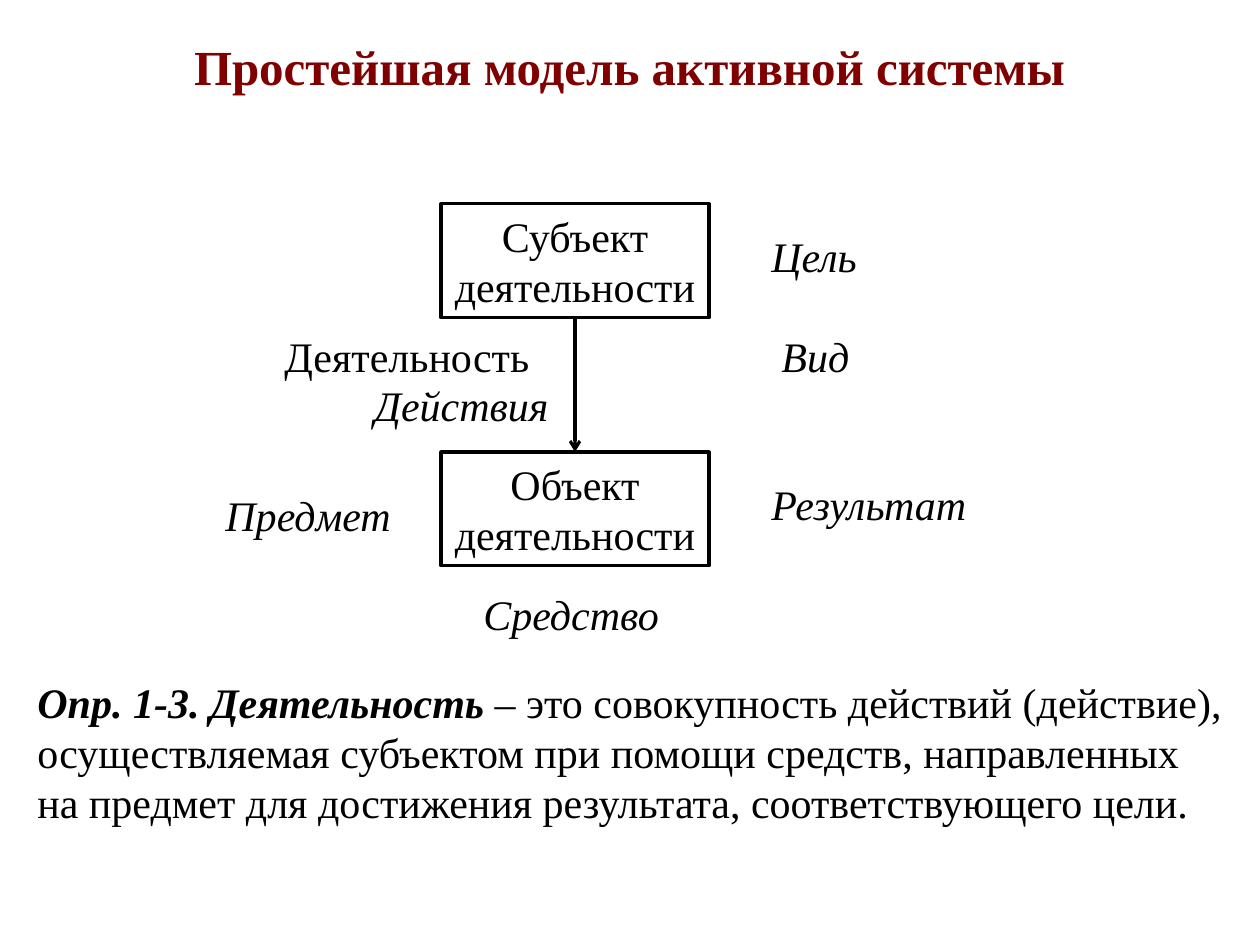
from dataclasses import dataclass

from lxml import etree
from pptx import Presentation
from pptx.dml.color import RGBColor
from pptx.enum.shapes import MSO_CONNECTOR, MSO_SHAPE
from pptx.enum.text import MSO_ANCHOR, PP_ALIGN
from pptx.oxml.ns import qn
from pptx.shapes.autoshape import Shape
from pptx.shapes.shapetree import SlideShapes
from pptx.util import Emu, Pt

RECTANGLE = MSO_SHAPE.RECTANGLE
STRAIGHT = MSO_CONNECTOR.STRAIGHT
LEFT, CENTER = PP_ALIGN.LEFT, PP_ALIGN.CENTER
TOP, MIDDLE = MSO_ANCHOR.TOP, MSO_ANCHOR.MIDDLE

EMU_PER_PX = 914400 / 126
FONT = "Times New Roman"
COLORS = {"title": "800000", "ink": "000000"}
BODY_SIZE, TITLE_SIZE = 24, 28
LINE_WIDTH = 1.75
BOX_WIDTH, BOX_HEIGHT = 268, 114
LABEL_HEIGHT = 63
BOTTOM_SITE, TOP_SITE = 2, 0


@dataclass(frozen=True)
class Phrase:
    text: str
    bold: bool = False
    italic: bool = False
    size: int = BODY_SIZE
    color: str = "ink"


@dataclass(frozen=True)
class Passage:
    left: int
    top: int
    width: int
    phrases: tuple[Phrase, ...]
    height: int = LABEL_HEIGHT
    align: PP_ALIGN = LEFT
    anchor: MSO_ANCHOR = TOP


TITLE = Passage(
    94, 26, 1071,
    (Phrase("Простейшая модель активной системы", bold=True, size=TITLE_SIZE, color="title"),),
    79, CENTER, MIDDLE,
)
SUBJECT = Passage(441, 204, BOX_WIDTH, (Phrase("Субъект деятельности"),), BOX_HEIGHT, CENTER)
OBJECT = Passage(441, 452, BOX_WIDTH, (Phrase("Объект деятельности"),), BOX_HEIGHT, CENTER)
LABELS = (
    Passage(272, 324, 297, (Phrase("Деятельность"),)),
    Passage(759, 472, 297, (Phrase("Результат", italic=True),)),
    Passage(759, 224, 208, (Phrase("Цель", italic=True),)),
    Passage(769, 324, 208, (Phrase("Вид", italic=True),)),
    Passage(471, 582, 208, (Phrase("Средство", italic=True),)),
    Passage(213, 483, 208, (Phrase("Предмет", italic=True),)),
    Passage(362, 373, 208, (Phrase("Действия", italic=True),)),
)
DEFINITION = Passage(
    25, 670, 1211,
    (
        Phrase("Опр. 1-3. Деятельность", bold=True, italic=True),
        Phrase(
            " – это совокупность действий (действие), осуществляемая субъектом "
            "при помощи средств, направленных на предмет для достижения результата, "
            "соответствующего цели."
        ),
    ),
    214,
)


def px(length: int) -> Emu:
    return Emu(round(length * EMU_PER_PX))


def place(passage: Passage) -> tuple[Emu, Emu, Emu, Emu]:
    return px(passage.left), px(passage.top), px(passage.width), px(passage.height)


def write(holder: Shape, passage: Passage) -> None:
    frame = holder.text_frame
    frame.word_wrap = True
    frame.vertical_anchor = passage.anchor
    paragraph = frame.paragraphs[0]
    paragraph.alignment = passage.align
    for phrase in passage.phrases:
        run = paragraph.add_run()
        run.text = phrase.text
        run.font.name = FONT
        run.font.size = Pt(phrase.size)
        run.font.bold = phrase.bold
        run.font.italic = phrase.italic
        run.font.color.rgb = RGBColor.from_string(COLORS[phrase.color])


def draw_passage(shapes: SlideShapes, passage: Passage) -> None:
    write(shapes.add_textbox(*place(passage)), passage)


def draw_box(shapes: SlideShapes, passage: Passage) -> Shape:
    box = shapes.add_shape(RECTANGLE, *place(passage))
    box.shadow.inherit = False
    box.fill.background()
    box.line.color.rgb = RGBColor.from_string(COLORS["ink"])
    box.line.width = Pt(LINE_WIDTH)
    write(box, passage)
    return box


def draw_arrow(shapes: SlideShapes, source: Shape, target: Shape) -> None:
    arrow = shapes.add_connector(STRAIGHT, 0, 0, 0, 0)
    arrow.begin_connect(source, BOTTOM_SITE)
    arrow.end_connect(target, TOP_SITE)
    arrow.line.color.rgb = RGBColor.from_string(COLORS["ink"])
    arrow.line.width = Pt(LINE_WIDTH)
    properties = arrow.element.spPr
    etree.SubElement(properties.find(qn("a:ln")), qn("a:tailEnd"), type="arrow")
    etree.SubElement(properties, qn("a:effectLst"))


def main() -> None:
    """Build the slide on the simplest model of an active system."""
    deck = Presentation()
    deck.slide_width, deck.slide_height = px(1260), px(945)
    shapes = deck.slides.add_slide(deck.slide_layouts[6]).shapes
    draw_passage(shapes, TITLE)
    subject = draw_box(shapes, SUBJECT)
    target = draw_box(shapes, OBJECT)
    draw_arrow(shapes, subject, target)
    for passage in (*LABELS, DEFINITION):
        draw_passage(shapes, passage)
    deck.save("out.pptx")


if __name__ == "__main__":
    main()
